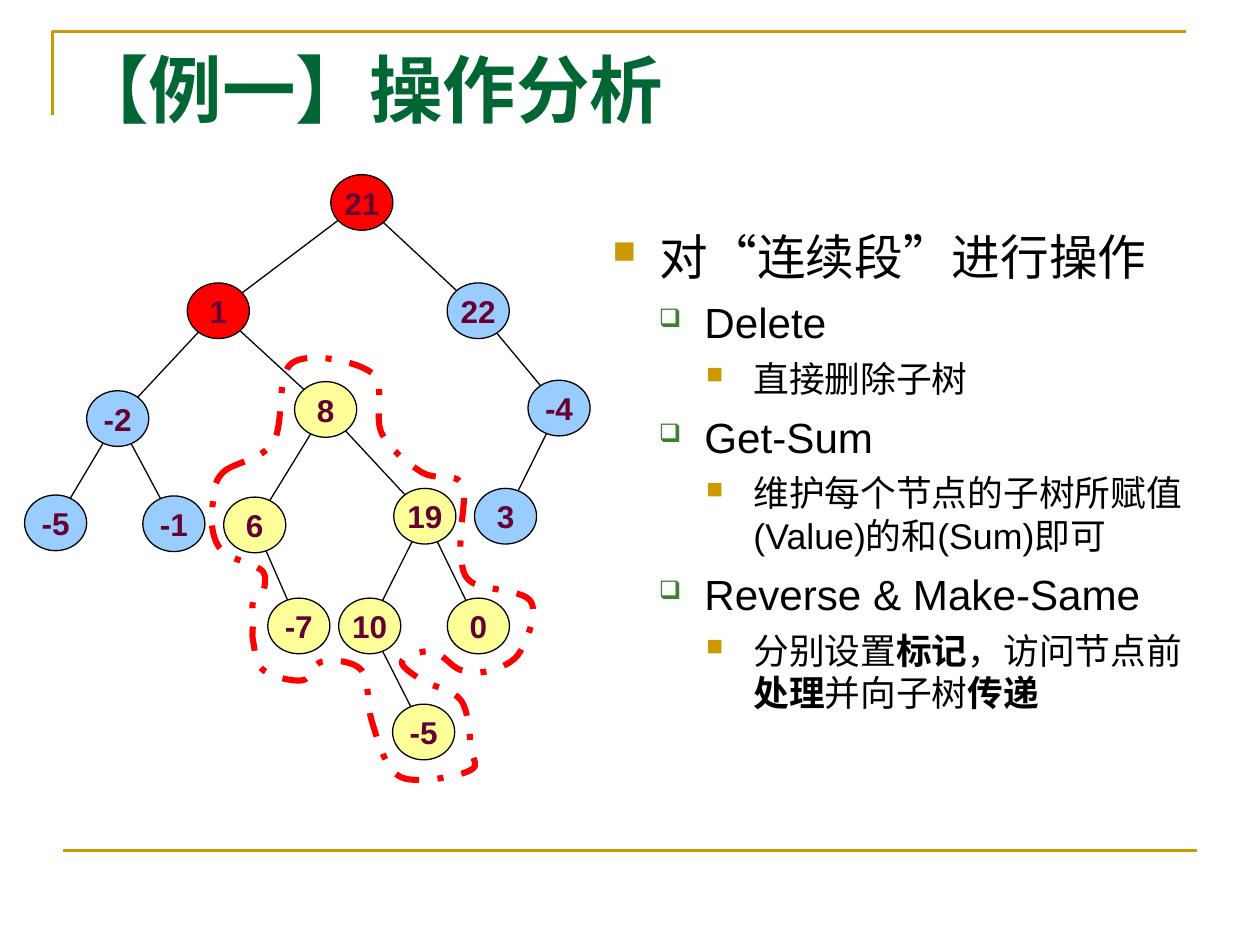
from dataclasses import dataclass

from lxml import etree
from pptx import Presentation
from pptx.dml.color import RGBColor
from pptx.enum import dml, shapes, text
from pptx.oxml.ns import qn
from pptx.util import Pt


@dataclass(frozen=True)
class Theme:
    gold: str = "CC9900"
    green: str = "3B812F"
    title: str = "006633"
    black: str = "000000"
    label: str = "660033"
    red: str = "FF0000"
    blue: str = "99CCFF"
    yellow: str = "FFFF99"
    sans: str = "Arial"
    serif: str = "Times New Roman"
    marks: str = "Wingdings"
    head: float = 42
    node: float = 18
    levels: tuple = (27.8, 24.1, 20.4)


look = Theme()


def write(para, words, size, color=look.black, font=look.sans, bold=False):
    """Add the words as runs; parts between asterisks switch the weight."""
    for i, part in enumerate(words.split("*")):
        if part:
            run = para.add_run()
            run.text = part
            run.font.size = Pt(size)
            run.font.name = font
            run.font.bold = bold or i % 2 == 1
            run.font.color.rgb = RGBColor.from_string(color)


def link(group, start, end, color=look.black, width=0.75):
    line = group.add_connector(shapes.MSO_CONNECTOR.STRAIGHT,
                               *(Pt(v) for v in (*start, *end)))
    line.line.color.rgb = RGBColor.from_string(color)
    line.line.width = Pt(width)
    etree.SubElement(line._element.spPr, qn("a:effectLst"))


deck = Presentation()
deck.slide_width, deck.slide_height = Pt(720), Pt(540)
slide = deck.slides.add_slide(deck.slide_layouts[6])

# Frame lines
pen = slide.shapes.build_freeform(Pt(30), Pt(66))
pen.add_line_segments([(Pt(30), Pt(18)), (Pt(678), Pt(18))], close=False)
frame = pen.convert_to_shape()
frame.shadow.inherit = False
frame.fill.background()
frame.line.color.rgb = RGBColor.from_string(look.gold)
frame.line.width = Pt(1.5)
link(slide.shapes, (36, 486), (684, 486), look.gold, 1.5)

# Tree: label, centre x, centre y, fill, index of the parent
nodes = [
    ("21", 206.8, 115.7, look.red, None),
    ("1", 124.8, 177.6, look.red, 0),
    ("22", 273.3, 177.6, look.blue, 0),
    ("-2", 67.3, 239.2, look.blue, 1),
    ("8", 186.1, 234, look.yellow, 1),
    ("-4", 319.5, 233.2, look.blue, 2),
    ("-5", 31.8, 298.8, look.blue, 3),
    ("-1", 99.4, 299.3, look.blue, 3),
    ("6", 145.6, 300, look.yellow, 4),
    ("19", 242.8, 295, look.yellow, 4),
    ("3", 288.9, 295, look.blue, 5),
    ("-7", 170.8, 357.7, look.yellow, 8),
    ("10", 211.3, 357.7, look.yellow, 9),
    ("0", 273.4, 357.7, look.yellow, 9),
    ("-5", 242.1, 418.3, look.yellow, 12),
]
wide, high = 35.5, 31.8
tree = slide.shapes.add_group_shape().shapes
for name, x, y, fill, up in nodes:
    if up is not None:
        link(tree, nodes[up][1:3], (x, y))
for name, x, y, fill, up in nodes:
    ball = tree.add_shape(shapes.MSO_SHAPE.OVAL, Pt(x - wide / 2),
                          Pt(y - high / 2), Pt(wide), Pt(high))
    ball.shadow.inherit = False
    ball.fill.solid()
    ball.fill.fore_color.rgb = RGBColor.from_string(fill)
    ball.line.color.rgb = RGBColor.from_string(look.black)
    ball.line.width = Pt(0.75)
    ball.text_frame.word_wrap = False
    ball.text_frame.vertical_anchor = text.MSO_ANCHOR.MIDDLE
    para = ball.text_frame.paragraphs[0]
    para.alignment = text.PP_ALIGN.CENTER
    write(para, name, look.node, look.label, bold=True)

# Dashed loop round the segment: a closed smooth curve through these knots
knots = [
    (127.4, 270), (156.2, 252.7), (167, 207.4), (212.4, 213.1),
    (218.2, 247.7), (241.2, 270), (263.5, 275.8), (263.5, 303.8),
    (263.5, 315.4), (269.3, 332.6), (303.1, 343.4), (297.4, 372.2),
    (280.8, 383), (263.5, 383), (247, 372.2), (229.7, 378),
    (241.2, 388.8), (263.5, 400.3), (269.3, 428.4), (269.3, 439.9),
    (241.2, 445.7), (223.9, 439.9), (212.4, 411.8), (206.6, 383),
    (184.3, 378), (172.8, 388.8), (150.5, 383), (144.7, 366.5),
    (144.7, 355), (144.7, 343.4), (150.5, 337.7), (150.5, 326.9),
    (139, 321.1), (127.4, 315.4), (121.7, 303.8), (121.7, 287.3),
]
curve = []
for i in range(len(knots)):
    a, b, c, d = (knots[(i + k) % len(knots)] for k in (-1, 0, 1, 2))
    curve += [
        [Pt(b[n] + (c[n] - a[n]) / 6) for n in (0, 1)],
        [Pt(c[n] - (d[n] - b[n]) / 6) for n in (0, 1)],
        [Pt(c[n]) for n in (0, 1)],
    ]
pen = slide.shapes.build_freeform(*curve[-1])
pen.add_line_segments(curve, close=True)
loop = pen.convert_to_shape()
# Every three segments become one Bezier piece
legs = list(loop._element.iter(qn("a:lnTo")))
for i in range(0, len(legs), 3):
    piece = etree.Element(qn("a:cubicBezTo"))
    legs[i].addprevious(piece)
    for leg in legs[i:i + 3]:
        piece.append(leg[0])
        leg.getparent().remove(leg)
loop.shadow.inherit = False
loop.fill.background()
loop.line.color.rgb = RGBColor.from_string(look.red)
loop.line.width = Pt(3.5)
loop.line.dash_style = dml.MSO_LINE.DASH_DOT

# Outline text: level and words, then the style of each level
points = [
    (0, "对“连续段”进行操作"),
    (1, "Delete"),
    (2, "直接删除子树"),
    (1, "Get-Sum"),
    (2, "维护每个节点的子树所赋值(Value)的和(Sum)即可"),
    (1, "Reverse & Make-Same"),
    (2, "分别设置*标记*，访问节点前*处理*并向子树*传递*"),
]
# Left margin, indent, space before, bullet, its colour and its percentage
styles = [
    (27, -27, 7.5, "n", look.gold, 65),
    (52.5, -26, 6.5, "q", look.green, 60),
    (80.5, -27, 5.5, "n", look.gold, 65),
]
body = slide.shapes.add_textbox(Pt(343), Pt(126), Pt(341), Pt(356)).text_frame
body.word_wrap = True
for i, (level, words) in enumerate(points):
    left, indent, gap, mark, color, part = styles[level]
    para = body.add_paragraph() if i else body.paragraphs[0]
    para.level = level
    para.space_before = Pt(gap)
    prop = para._p.get_or_add_pPr()
    prop.set("marL", str(Pt(left)))
    prop.set("indent", str(Pt(indent)))
    tint = etree.SubElement(prop, qn("a:buClr"))
    etree.SubElement(tint, qn("a:srgbClr"), val=color)
    etree.SubElement(prop, qn("a:buSzPct"), val=str(part * 1000))
    etree.SubElement(prop, qn("a:buFont"), typeface=look.marks, charset="2")
    etree.SubElement(prop, qn("a:buChar"), char=mark)
    write(para, words, look.levels[level])

title = slide.shapes.add_textbox(Pt(36), Pt(21.6), Pt(648), Pt(90)).text_frame
title.word_wrap = True
write(title.paragraphs[0], "【例一】操作分析", look.head, look.title,
      look.serif, bold=True)

deck.save("out.pptx")
